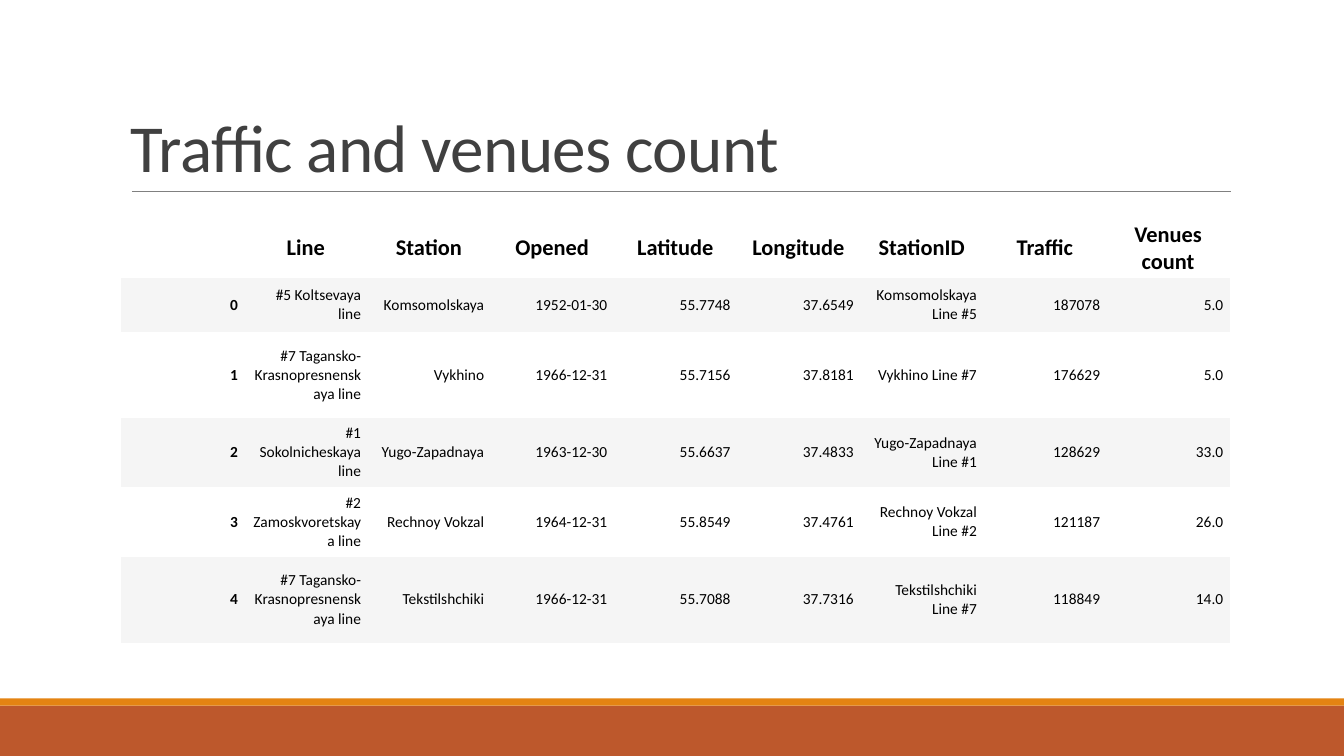
from dataclasses import dataclass

from pptx import Presentation
from pptx.dml.color import RGBColor
from pptx.enum import shapes, text
from pptx.oxml import ns
from pptx.slide import Slide
from pptx.table import _Cell as Cell
from pptx.text.text import TextFrame
from pptx.util import Pt
from lxml import etree

FONT = "Calibri"
PAGE_WIDTH, PAGE_HEIGHT = 960, 540
LEFT, CONTENT_WIDTH = 86.4, 792
NO_STYLE = "{2D5ABB26-0587-4C30-8999-92F81FD0307C}"

HEADINGS = ("", "Line", "Station", "Opened", "Latitude", "Longitude",
            "StationID", "Traffic", "Venues count")
HEADER_HEIGHT = 43.2


@dataclass(frozen=True)
class Band:
    """A full-width strip at the foot of the page."""
    top: float
    height: float
    color: str


@dataclass(frozen=True)
class Station:
    """One metro station, with its row height in points."""
    height: float
    line: str
    name: str
    opened: str
    latitude: str
    longitude: str
    traffic: str
    venues: str

    def values(self, index: int) -> tuple[str, ...]:
        """Return the texts of the table row."""
        number = self.line.split()[0]
        return (str(index), f"{self.line} line", self.name, self.opened,
                self.latitude, self.longitude, f"{self.name} Line {number}",
                self.traffic, self.venues)


BANDS = (Band(504, 36, "BD582C"), Band(498.8, 5.2, "E48312"))
STATIONS = (
    Station(38.4, "#5 Koltsevaya", "Komsomolskaya", "1952-01-30",
            "55.7748", "37.6549", "187078", "5.0"),
    Station(61.4, "#7 Tagansko-Krasnopresnenskaya", "Vykhino", "1966-12-31",
            "55.7156", "37.8181", "176629", "5.0"),
    Station(49.6, "#1 Sokolnicheskaya", "Yugo-Zapadnaya", "1963-12-30",
            "55.6637", "37.4833", "128629", "33.0"),
    Station(49.6, "#2 Zamoskvoretskaya", "Rechnoy Vokzal", "1964-12-31",
            "55.8549", "37.4761", "121187", "26.0"),
    Station(61.4, "#7 Tagansko-Krasnopresnenskaya", "Tekstilshchiki", "1966-12-31",
            "55.7088", "37.7316", "118849", "14.0"),
)


def rgb(color: str) -> RGBColor:
    """Turn a hex string into a colour."""
    return RGBColor.from_string(color)


def write(frame: TextFrame, words: str, size: float, color: str,
          align: text.PP_ALIGN, bold: bool = False) -> None:
    """Fill a text frame with one formatted paragraph."""
    frame.text = words
    paragraph = frame.paragraphs[0]
    paragraph.alignment = align
    for font in (paragraph.font, *(span.font for span in paragraph.runs)):
        font.name, font.size, font.bold = FONT, Pt(size), bold
        font.color.rgb = rgb(color)


def add_band(page: Slide, band: Band) -> None:
    """Draw a strip across the page."""
    box = page.shapes.add_shape(shapes.MSO_SHAPE.RECTANGLE, Pt(0), Pt(band.top),
                                Pt(PAGE_WIDTH), Pt(band.height))
    box.shadow.inherit = False
    box.fill.solid()
    box.fill.fore_color.rgb = rgb(band.color)
    box.line.fill.background()


def add_title(page: Slide, words: str) -> None:
    """Write the title and draw the rule below it."""
    box = page.shapes.add_textbox(Pt(LEFT), Pt(22.5), Pt(CONTENT_WIDTH), Pt(114.2))
    frame = box.text_frame
    frame.word_wrap = True
    frame.vertical_anchor = text.MSO_ANCHOR.BOTTOM
    write(frame, words, 48, "404040", text.PP_ALIGN.LEFT)
    paragraph = frame.paragraphs[0]
    paragraph.line_spacing = 0.85
    paragraph.runs[0].font._element.set("spc", "-50")

    rule = page.shapes.add_connector(shapes.MSO_CONNECTOR.STRAIGHT, Pt(94.3),
                                     Pt(136.8), Pt(879), Pt(136.8))
    rule.line.color.rgb = rgb("808080")
    rule.line.width = Pt(0.5)
    etree.SubElement(rule._element.spPr, ns.qn("a:effectLst"))


def fill_cell(cell: Cell, words: str, row: int, column: int) -> None:
    """Write and colour one table cell by its place in the table."""
    header = row == 0
    cell.margin_left = cell.margin_right = Pt(4.5)
    cell.margin_top = cell.margin_bottom = Pt(2.25)
    cell.vertical_anchor = text.MSO_ANCHOR.MIDDLE
    cell.fill.solid()
    cell.fill.fore_color.rgb = rgb("F5F5F5" if row % 2 else "FFFFFF")
    write(cell.text_frame, words, 16 if header else 11, "000000",
          text.PP_ALIGN.CENTER if header else text.PP_ALIGN.RIGHT,
          bold=header or column == 0)


def add_station_table(page: Slide) -> None:
    """Draw the table of stations."""
    rows = [HEADINGS] + [station.values(index) for index, station in enumerate(STATIONS)]
    heights = [HEADER_HEIGHT] + [station.height for station in STATIONS]
    holder = page.shapes.add_table(len(rows), len(HEADINGS), Pt(LEFT), Pt(155.5),
                                   Pt(CONTENT_WIDTH), Pt(sum(heights)))
    table = holder.table
    table.horz_banding = False
    for style in holder._element.iter(ns.qn("a:tableStyleId")):
        style.text = NO_STYLE
    for column in table.columns:
        column.width = Pt(CONTENT_WIDTH / len(HEADINGS))
    for row, (values, height) in enumerate(zip(rows, heights)):
        table.rows[row].height = Pt(height)
        for column, words in enumerate(values):
            fill_cell(table.cell(row, column), words, row, column)


def main() -> None:
    """Build the deck and save it."""
    deck = Presentation()
    deck.slide_width, deck.slide_height = Pt(PAGE_WIDTH), Pt(PAGE_HEIGHT)
    page = deck.slides.add_slide(deck.slide_layouts[6])
    for band in BANDS:
        add_band(page, band)
    add_title(page, "Traffic and venues count")
    add_station_table(page)
    deck.save("out.pptx")


main()
